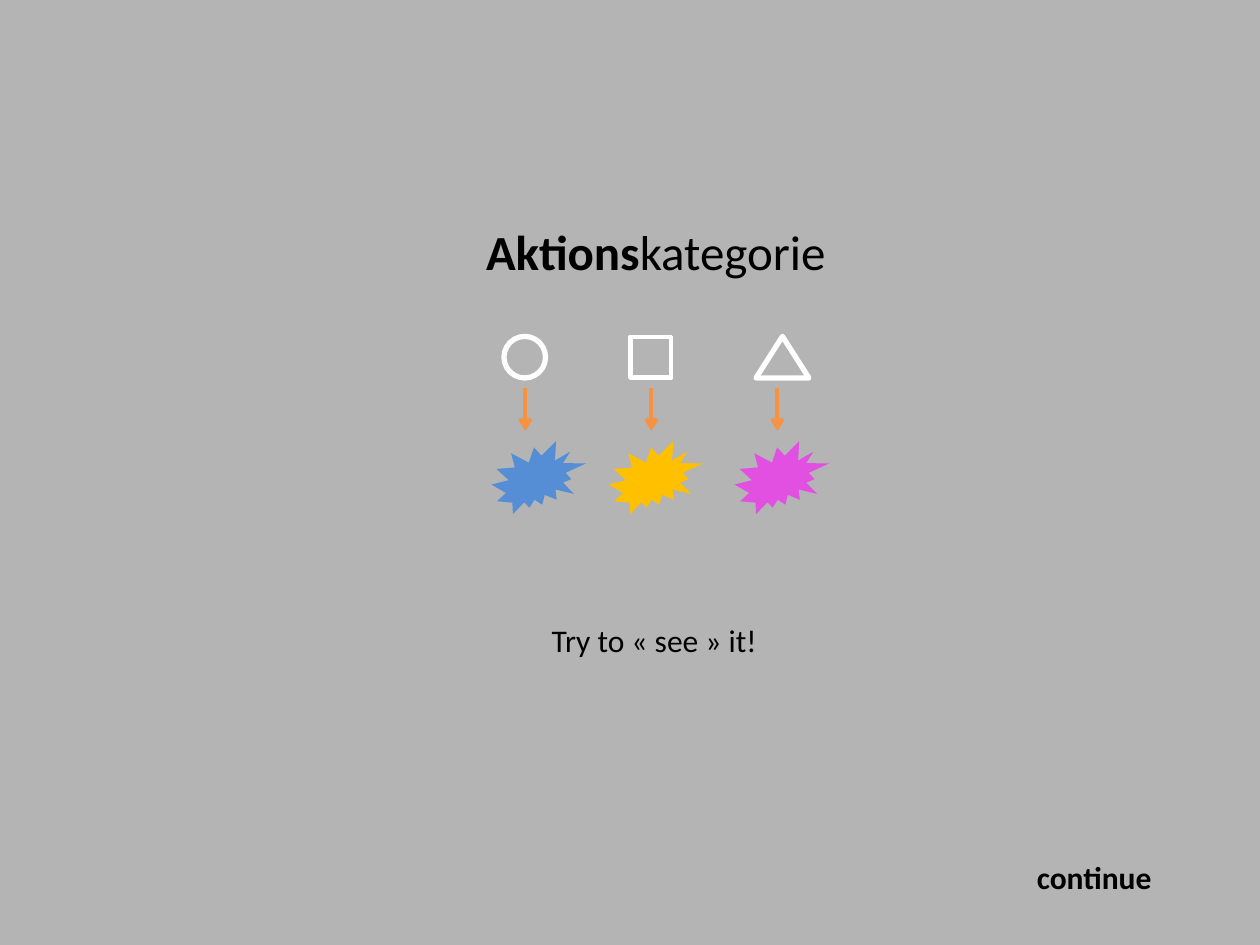
"""Build the slide that pairs three outlined shapes with coloured bursts."""
from dataclasses import dataclass

from lxml.etree import SubElement
from pptx import Presentation
from pptx.dml.color import RGBColor
from pptx.enum.shapes import MSO_CONNECTOR as Connector, MSO_SHAPE as Shape
from pptx.enum.text import MSO_ANCHOR as Anchor, MSO_AUTO_SIZE as AutoSize, PP_ALIGN as Align
from pptx.oxml.ns import qn
from pptx.util import Inches, Pt


@dataclass(frozen=True)
class Theme:
    font: str = "Calibri"
    title_size: int = 28
    body_size: int = 18
    background: str = "B4B4B4"
    text: str = "000000"
    outline: str = "FFFFFF"
    arrow: str = "F69240"
    blue: str = "558ED5"
    yellow: str = "FFC000"
    pink: str = "E250E2"


theme = Theme()


def color(value):
    return RGBColor.from_string(value)


def style_font(font, size):
    font.name = theme.font
    font.size = Pt(size)
    font.color.rgb = color(theme.text)


deck = Presentation()
deck.slide_width, deck.slide_height = Inches(10), Inches(7.5)
page = deck.slides.add_slide(deck.slide_layouts[5])
page.background.fill.solid()
page.background.fill.fore_color.rgb = color(theme.background)

title = page.shapes.title
title.left, title.top = Inches(0.58), Inches(1.71)
title.width, title.height = Inches(9.25), Inches(0.57)
title.text_frame.auto_size = AutoSize.NONE
title.text_frame.vertical_anchor = Anchor.MIDDLE
para = title.text_frame.paragraphs[0]
para.alignment = Align.CENTER
style_font(para.font, theme.title_size)
for text, bold in (("Aktions", True), ("kategorie", False)):
    span = para.add_run()
    span.text = text
    span.font.bold = bold

columns = [
    (Shape.OVAL, 0.33, 3, 3.9, theme.blue),
    (Shape.FRAME, 0.33, 2, 4.83, theme.yellow),
    (Shape.ISOSCELES_TRIANGLE, 0.42, 3, 5.83, theme.pink),
]
for index, (kind, width, weight, burst_left, burst_color) in enumerate(columns):
    left = 4 + index
    outline = page.shapes.add_shape(kind, Inches(left), Inches(2.67), Inches(width), Inches(0.33))
    outline.shadow.inherit = False
    outline.fill.background()
    outline.line.color.rgb = color(theme.outline)
    outline.line.width = Pt(weight)
    if kind == Shape.FRAME:
        outline.adjustments[0] = 0.02

    center = Inches(left + 0.17)
    arrow = page.shapes.add_connector(
        Connector.STRAIGHT, center, Inches(3.08), center, Inches(3.42))
    arrow.line.color.rgb = color(theme.arrow)
    arrow.line.width = Pt(2.25)
    SubElement(arrow.line._get_or_add_ln(), qn("a:tailEnd"), type="arrow")
    SubElement(arrow._element.spPr, qn("a:effectLst"))

    burst = page.shapes.add_shape(
        Shape.EXPLOSION2, Inches(burst_left), Inches(3.5), Inches(0.75), Inches(0.58))
    burst.shadow.inherit = False
    burst.fill.solid()
    burst.fill.fore_color.rgb = color(burst_color)
    burst.line.fill.background()

labels = [
    ("continue", 8.13, 6.76, 1.12, True),
    ("Try to «\u00a0see\u00a0» it!", 4.28, 4.88, 1.85, False),
]
for text, left, top, width, bold in labels:
    box = page.shapes.add_textbox(Inches(left), Inches(top), Inches(width), Inches(0.4))
    box.text_frame.word_wrap = False
    para = box.text_frame.paragraphs[0]
    para.text = text
    style_font(para.font, theme.body_size)
    para.font.bold = bold

deck.save("out.pptx")
